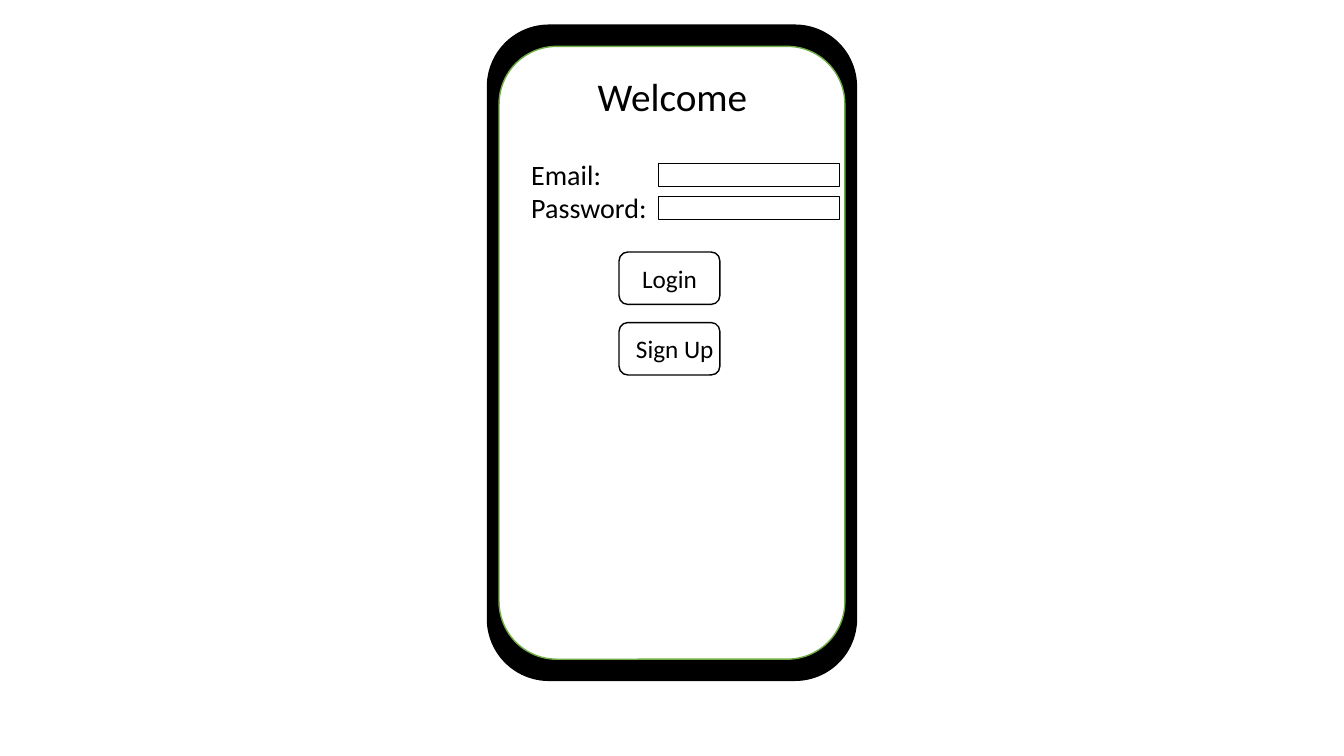
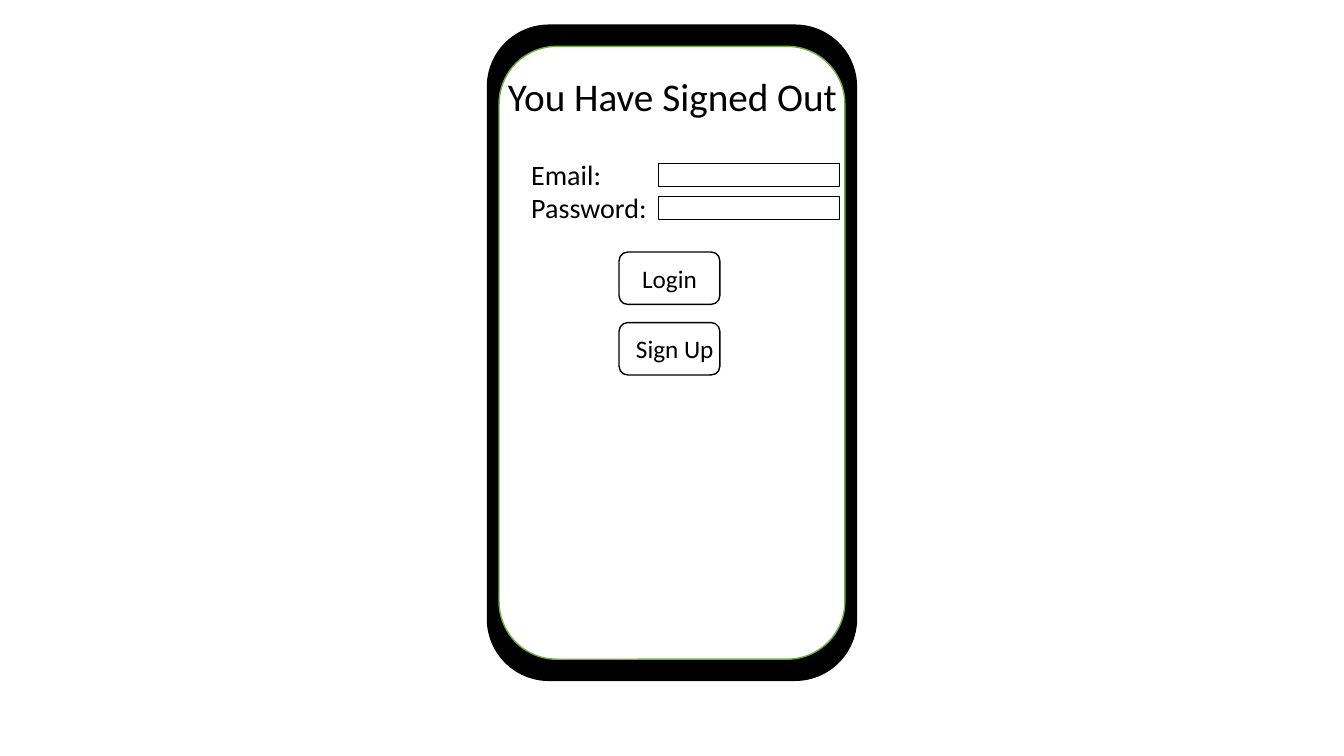
from pptx import Presentation
from pptx.dml.color import RGBColor
from pptx.enum.shapes import MSO_SHAPE
from pptx.enum.text import MSO_AUTO_SIZE
from pptx.util import Inches, Pt

COLORS = {"ink": "000000", "paper": "FFFFFF", "edge": "70AD47"}
FONT = "Calibri"
WIDTH, HEIGHT = 13.33, 7.5

deck = Presentation()
deck.slide_width, deck.slide_height = Inches(WIDTH), Inches(HEIGHT)


def add_panel(slide, outline, left, top, width, height, fill="paper", line="ink"):
    panel = slide.shapes.add_shape(
        outline, Inches(left), Inches(top), Inches(width), Inches(height))
    panel.shadow.inherit = False
    panel.fill.solid()
    panel.fill.fore_color.rgb = RGBColor.from_string(COLORS[fill])
    panel.line.color.rgb = RGBColor.from_string(COLORS[line])
    panel.line.width = Pt(1)


def add_label(slide, lines, size, left, top, width, height):
    frame = slide.shapes.add_textbox(
        Inches(left), Inches(top), Inches(width), Inches(height)).text_frame
    frame.word_wrap = True
    frame.auto_size = MSO_AUTO_SIZE.SHAPE_TO_FIT_TEXT
    for index, line in enumerate(lines):
        paragraph = frame.add_paragraph() if index else frame.paragraphs[0]
        run = paragraph.add_run()
        run.text = line
        run.font.size = Pt(size)
        run.font.name = FONT
        run.font.color.rgb = RGBColor.from_string(COLORS["ink"])


phone_width, phone_height, phone_top = 3.66, 6.5, 0.25
screen_width, screen_height = 3.43, 6.08
phone_left = (WIDTH - phone_width) / 2
screen_left = (WIDTH - screen_width) / 2
screen_top = phone_top + (phone_height - screen_height) / 2

field_left, field_top, field_pitch = 6.53, 1.62, 0.33
button_left, button_top, button_pitch = 6.14, 2.5, 0.7
fields = ["Email:", "Password:"]
buttons = [("Login", 0.13), ("Sign Up", 0.07)]
screens = [("Welcome", 5.83, 2.79), ("You Have Signed Out", 4.94, 3.66)]

for heading, heading_left, heading_width in screens:
    slide = deck.slides.add_slide(deck.slide_layouts[6])
    add_panel(slide, MSO_SHAPE.ROUNDED_RECTANGLE, phone_left, phone_top,
              phone_width, phone_height, fill="ink")
    add_panel(slide, MSO_SHAPE.ROUNDED_RECTANGLE, screen_left, screen_top,
              screen_width, screen_height, line="edge")
    add_label(slide, [heading], 28, heading_left, 0.67, heading_width, 0.57)

    add_label(slide, fields, 20, 5.17, 1.51, 2.38, 0.77)
    for row in range(len(fields)):
        add_panel(slide, MSO_SHAPE.RECTANGLE, field_left,
                  field_top + row * field_pitch, 1.8, 0.23)

    for row, (caption, indent) in enumerate(buttons):
        top = button_top + row * button_pitch
        add_panel(slide, MSO_SHAPE.ROUNDED_RECTANGLE, button_left, top, 1, 0.52)
        add_label(slide, [caption], 18, button_left + indent, top + 0.06, 1, 0.4)

deck.save("out.pptx")
